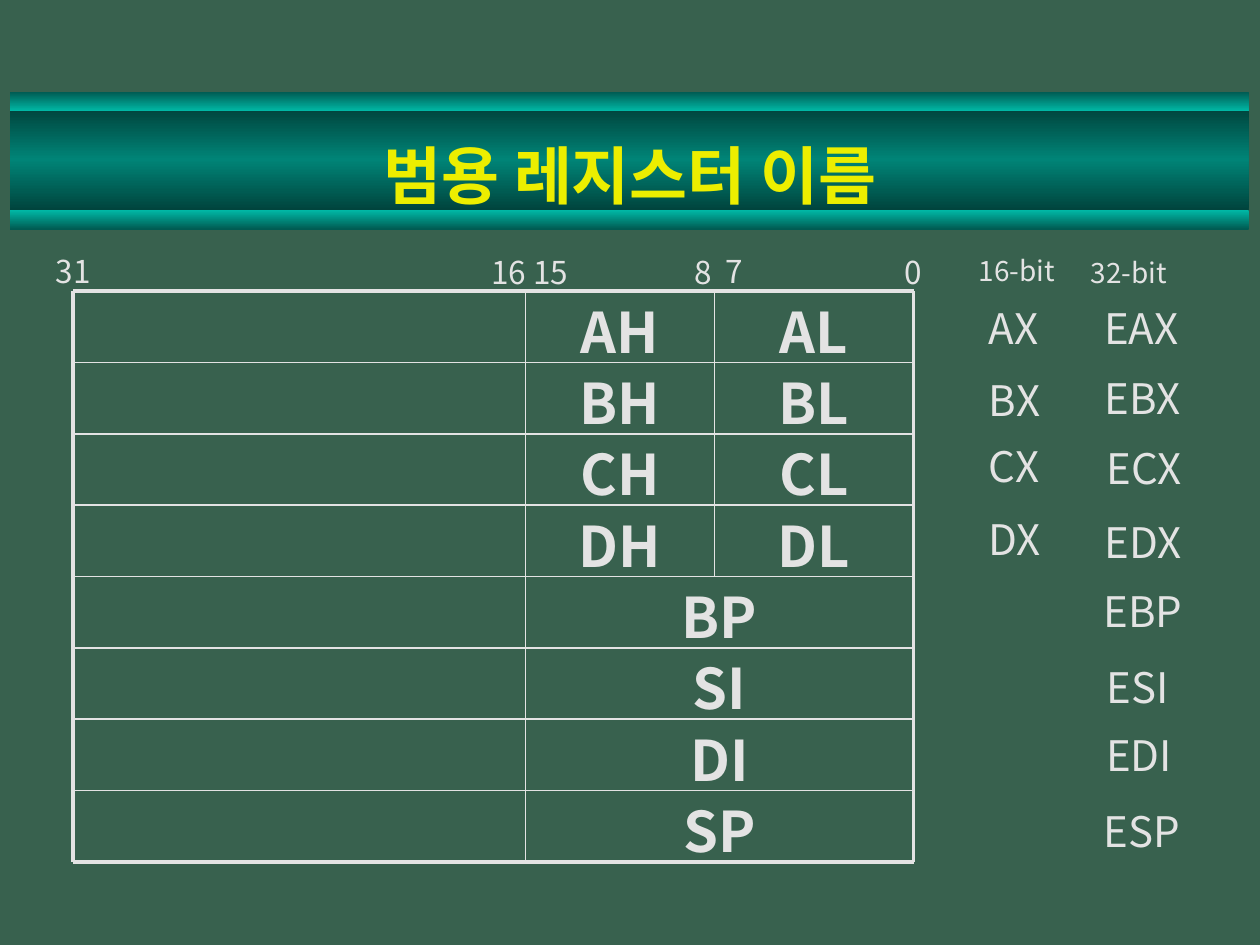
from dataclasses import dataclass

from lxml import etree
from pptx import Presentation
from pptx.dml.color import RGBColor
from pptx.enum.shapes import MSO_CONNECTOR, MSO_SHAPE
from pptx.enum.text import MSO_ANCHOR, PP_ALIGN
from pptx.oxml.ns import qn
from pptx.util import Inches, Pt

STRAIGHT = MSO_CONNECTOR.STRAIGHT
RECTANGLE = MSO_SHAPE.RECTANGLE
TOP, MIDDLE = MSO_ANCHOR.TOP, MSO_ANCHOR.MIDDLE
LEFT, CENTER = PP_ALIGN.LEFT, PP_ALIGN.CENTER


@dataclass(frozen=True)
class Theme:
    font: str = "Noto Sans CJK KR"
    background: str = "38614E"
    chalk: str = "E3E3E3"
    title: str = "ECEE00"
    band_dark: str = "00423B"
    band_light: str = "008477"
    edge_dark: str = "005B52"
    edge_light: str = "00B7A5"
    title_size: int = 36
    register_size: int = 32
    name_size: int = 24
    bit_size: int = 18
    heading_size: int = 16
    frame_width: float = 2.25
    rule_width: float = 1


THEME = Theme()

BITS = [("31", -0.25, 0), ("16", 3.21, 0.01), ("15", 3.54, 0.01),
        ("8", 4.75, 0.01), ("7", 5, 0), ("0", 6.42, 0.01)]
SPLIT_REGISTERS = ["A", "B", "C", "D"]
WHOLE_REGISTERS = ["BP", "SI", "DI", "SP"]
NAMES_16 = [("AX", 0.04), ("BX", 0.61), ("CX", 1.14), ("DX", 1.72)]
NAMES_32 = [("EAX", 1.06, 0.04), ("EBX", 1.07, 0.6), ("ECX", 1.08, 1.15),
            ("EDX", 1.07, 1.74), ("EBP", 1.07, 2.29), ("ESI", 1.03, 2.89),
            ("EDI", 1.04, 3.43), ("ESP", 1.06, 4.03)]


def add_text(slide, text, left, top, width, height, size, color=THEME.chalk,
             bold=False, align=CENTER, anchor=TOP):
    box = slide.shapes.add_textbox(
        Inches(left), Inches(top), Inches(width), Inches(height))
    frame = box.text_frame
    frame.word_wrap = True
    frame.vertical_anchor = anchor
    paragraph = frame.paragraphs[0]
    paragraph.text = text
    paragraph.alignment = align
    font = paragraph.font
    font.name, font.size, font.bold = THEME.font, Pt(size), bold
    font.color.rgb = RGBColor.from_string(color)
    return paragraph


def add_rule(slide, x1, y1, x2, y2, width):
    rule = slide.shapes.add_connector(
        STRAIGHT, Inches(x1), Inches(y1), Inches(x2), Inches(y2))
    rule.line.color.rgb = RGBColor.from_string(THEME.chalk)
    rule.line.width = Pt(width)
    etree.SubElement(rule._element.spPr, qn("a:effectLst"))


def add_band(slide, left, top, width, height, colors):
    band = slide.shapes.add_shape(
        RECTANGLE, Inches(left), Inches(top), Inches(width), Inches(height))
    band.shadow.inherit = False
    band.line.fill.background()
    band.fill.gradient()
    band.fill.gradient_angle = 270
    stops = band.fill._fill._gradFill.find(qn("a:gsLst"))
    for stop in list(stops):
        stops.remove(stop)
    for index, color in enumerate(colors):
        position = 100000 * index // (len(colors) - 1)
        stop = etree.SubElement(stops, qn("a:gs"), pos=str(position))
        etree.SubElement(stop, qn("a:srgbClr"), val=color)


def add_title_banner(slide, left, top, width):
    edge = 0.15
    add_band(slide, left, top + 0.12, width, 0.83,
             [THEME.band_dark, THEME.band_light, THEME.band_dark])
    add_band(slide, left, top + 0.94, width, edge,
             [THEME.edge_light, THEME.edge_dark])
    add_band(slide, left, top, width, edge,
             [THEME.edge_dark, THEME.edge_light])
    title = add_text(slide, "범용 레지스터 이름", left + 0.67, top + 0.25,
                     8.5, 0.81, THEME.title_size, THEME.title, True,
                     anchor=MIDDLE)
    run_style = title.runs[0]._r.get_or_add_rPr()
    effects = etree.SubElement(run_style, qn("a:effectLst"))
    shadow = etree.SubElement(effects, qn("a:outerShdw"),
                              dist="38100", dir="2700000")
    etree.SubElement(shadow, qn("a:srgbClr"), val="000000")
    etree.SubElement(run_style, qn("a:ea"), typeface=THEME.font)


def add_register_grid(slide, left, top, width, height):
    row_count = len(SPLIT_REGISTERS) + len(WHOLE_REGISTERS)
    row_height = height / row_count
    right, bottom = left + width, top + height
    high, low = left + 3.59, left + 5.09
    split_bottom = top + len(SPLIT_REGISTERS) * row_height

    cells = []
    for row, letter in enumerate(SPLIT_REGISTERS):
        cells += [(letter + "H", row, high, low), (letter + "L", row, low, right)]
    for row, name in enumerate(WHOLE_REGISTERS, len(SPLIT_REGISTERS)):
        cells.append((name, row, high, right))
    for name, row, start, end in cells:
        add_text(slide, name, start, top + row * row_height, end - start,
                 row_height, THEME.register_size, bold=True)

    for row in range(row_count + 1):
        y = top + row * row_height
        outer = row in (0, row_count)
        add_rule(slide, left, y, right, y,
                 THEME.frame_width if outer else THEME.rule_width)
    for x, end, weight in [(left, bottom, THEME.frame_width),
                           (high, bottom, THEME.rule_width),
                           (low, split_bottom, THEME.rule_width),
                           (right, bottom, THEME.frame_width)]:
        add_rule(slide, x, top, x, end, weight)


def add_bit_numbers(slide, left, top):
    for bit, dx, dy in BITS:
        add_text(slide, bit, left + dx, top + dy, 0.5, 0.4, THEME.bit_size)


def add_register_names(slide, left, top):
    for heading, dx, dy in [("16-bit", -0.33, -0.35), ("32-bit", 0.56, -0.33)]:
        add_text(slide, heading, left + dx, top + dy, 0.92, 0.37,
                 THEME.heading_size, align=LEFT)
    for name, dy in NAMES_16:
        add_text(slide, name, left - 0.25, top + dy, 0.67, 0.5,
                 THEME.name_size, align=LEFT)
    name_width = 0.9
    for name, center, dy in NAMES_32:
        add_text(slide, name, left + center - name_width / 2, top + dy,
                 name_width, 0.5, THEME.name_size)


def main():
    deck = Presentation()
    deck.slide_width, deck.slide_height = Inches(10), Inches(7.5)
    slide = deck.slides.add_slide(deck.slide_layouts[6])
    slide.background.fill.solid()
    slide.background.fill.fore_color.rgb = RGBColor.from_string(THEME.background)
    add_title_banner(slide, 0.08, 0.73, 9.83)
    add_register_grid(slide, 0.58, 2.31, 6.67, 4.53)
    add_bit_numbers(slide, 0.58, 1.95)
    add_register_names(slide, 8, 2.31)
    deck.save("out.pptx")


if __name__ == "__main__":
    main()
